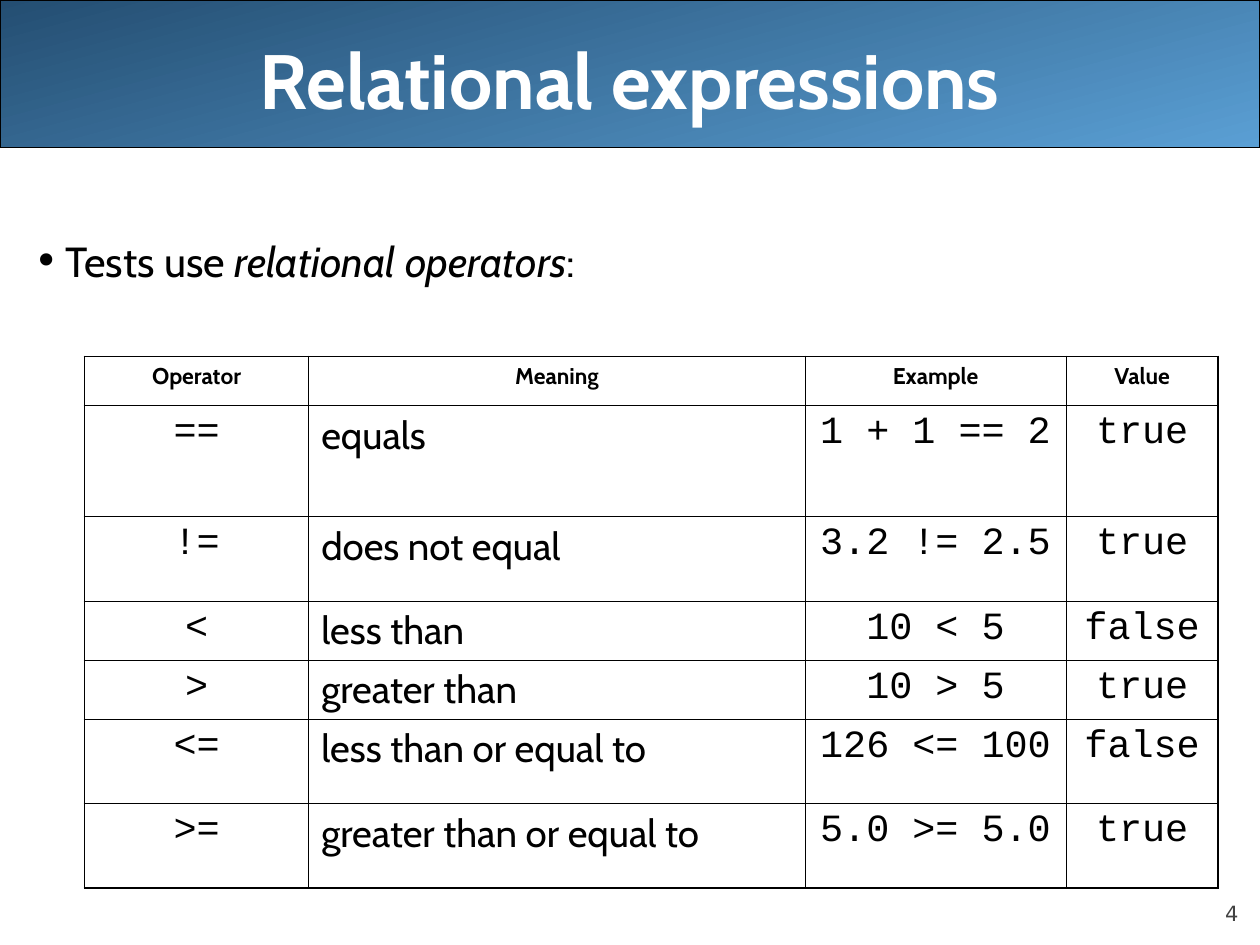
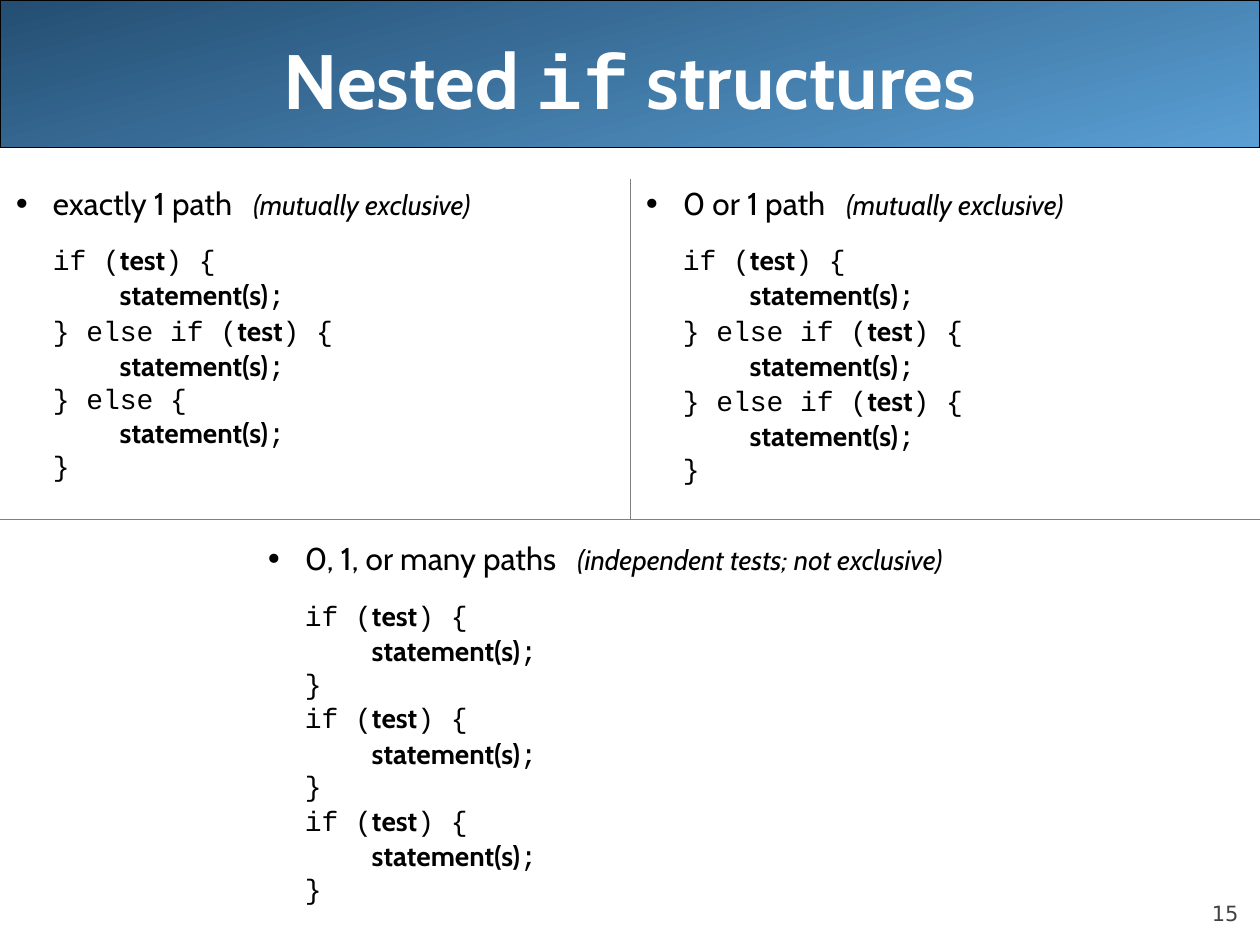
from dataclasses import dataclass

from lxml.etree import SubElement
from pptx import Presentation
from pptx.dml.color import RGBColor
from pptx.enum.shapes import MSO_SHAPE
from pptx.enum.text import MSO_ANCHOR, MSO_AUTO_SIZE, PP_ALIGN
from pptx.oxml.ns import qn
from pptx.util import Inches, Pt


@dataclass(frozen=True)
class Theme:
    sans: str = "Cabin"
    mono: str = "Courier New"
    digit: str = "DejaVu Sans"
    ink: str = "000000"
    paper: str = "FFFFFF"
    dark: str = "244E72"
    light: str = "5A9FD4"
    rule: str = "808080"
    muted: str = "424242"
    title: int = 44
    body: int = 24
    entry: int = 22
    topic: int = 18
    code: int = 16
    head: int = 13
    page: int = 12
    frame: float = 1.08
    grid: float = 0.45
    hair: float = 0.23


THEME = Theme()
TITLE_ONLY = 5

COLUMNS = (1.78, 3.94, 2.07, 1.21)
ROWS = (0.39, 0.88, 0.67, 0.47, 0.47, 0.67, 0.67)
HEADINGS = ("Operator", "Meaning", "Example", "Value")
OPERATORS = (
    ("==", "equals", "1 + 1 == 2", "true"),
    ("!=", "does not equal", "3.2 != 2.5", "true"),
    ("<", "less than", "10 < 5", "false"),
    (">", "greater than", "10 > 5", "true"),
    ("<=", "less than or equal to", "126 <= 100", "false"),
    (">=", "greater than or equal to", "5.0 >= 5.0", "true"),
)

# Bars enclose the parts that the programmer fills in.
BODY = "|statement(s)|;"
IF = ("if (|test|) {", BODY)
ELSE_IF = ("} else if (|test|) {", BODY)
ELSE = ("} else {", BODY)
END = ("}",)


def style(run, size, font=THEME.sans, color=THEME.ink, bold=False, italic=False):
    run.font.size = Pt(size)
    run.font.name = font
    run.font.color.rgb = RGBColor.from_string(color)
    run.font.bold = bold
    run.font.italic = italic


def add_run(para, text, size, **look):
    run = para.add_run()
    run.text = text
    style(run, size, **look)
    return run


def indent(para, left, first=0):
    props = para._p.get_or_add_pPr()
    props.set("marL", str(Inches(left)))
    props.set("indent", str(Inches(first)))
    return props


def add_bullet(para, left, hang):
    props = indent(para, left, -hang)
    color = SubElement(props, qn("a:buClr"))
    SubElement(color, qn("a:srgbClr"), val=THEME.ink)
    SubElement(props, qn("a:buFont"), typeface=THEME.digit)
    SubElement(props, qn("a:buChar"), char="•")


def add_box(slide, left, top, width, height):
    box = slide.shapes.add_textbox(*map(Inches, (left, top, width, height)))
    box.text_frame.word_wrap = True
    return box.text_frame


def add_band(slide):
    band = slide.shapes.add_shape(
        MSO_SHAPE.ROUNDED_RECTANGLE, 0, 0, Inches(10), Inches(1.17))
    band.adjustments[0] = 0
    band.shadow.inherit = False
    band.fill.gradient()
    band.fill.gradient_angle = 285
    stops = zip(band.fill.gradient_stops, (THEME.dark, THEME.light), (0, 1))
    for stop, color, place in stops:
        stop.color.rgb = RGBColor.from_string(color)
        stop.position = place
    band.line.color.rgb = RGBColor.from_string(THEME.ink)
    band.line.width = Pt(0.75)
    slide.shapes._spTree.insert(2, band._element)


def add_page(slide, number):
    frame = add_box(slide, 9, 6.95, 0.83, 0.4)
    frame.margin_left = frame.margin_right = 0
    frame.margin_top = frame.margin_bottom = 0
    frame.vertical_anchor = MSO_ANCHOR.BOTTOM
    para = frame.paragraphs[0]
    para.text = str(number)
    para.alignment = PP_ALIGN.RIGHT
    style(para.runs[0], THEME.page, THEME.digit, THEME.muted)


def add_slide(deck, number, *parts):
    """Start a slide; each title part is a text and its font."""
    slide = deck.slides.add_slide(deck.slide_layouts[TITLE_ONLY])
    add_band(slide)
    add_page(slide, number)
    title = slide.shapes.title
    title.left, title.top = Inches(0.5), 0
    title.width, title.height = Inches(9), Inches(1.25)
    frame = title.text_frame
    frame.auto_size = MSO_AUTO_SIZE.NONE
    frame.vertical_anchor = MSO_ANCHOR.MIDDLE
    para = frame.paragraphs[0]
    para.alignment = PP_ALIGN.CENTER
    for text, font in parts:
        add_run(para, text, THEME.title, font=font, color=THEME.paper, bold=True)
    return slide


def add_grid(slide, left, top, widths, heights):
    shape = slide.shapes.add_table(
        len(heights), len(widths), Inches(left), Inches(top),
        Inches(sum(widths)), Inches(sum(heights)))
    table = shape.table
    table.first_row = table.horz_banding = False
    for column, width in zip(table.columns, widths):
        column.width = Inches(width)
    for row, height in zip(table.rows, heights):
        row.height = Inches(height)
    return table


def set_cell(cell, color, **widths):
    """Clear a cell's fill and rule the sides named L, R, T and B."""
    props = cell._tc.get_or_add_tcPr()
    for side in "LRTB":
        width = widths.get(side, 0)
        line = SubElement(props, qn(f"a:ln{side}"), w=str(Pt(width)))
        if width:
            fill = SubElement(line, qn("a:solidFill"))
            SubElement(fill, qn("a:srgbClr"), val=color)
        else:
            SubElement(line, qn("a:noFill"))
    cell.fill.background()


def fill_table(table, records):
    bottom, right = len(table.rows) - 1, len(table.columns) - 1
    for r, record in enumerate(records):
        for c, text in enumerate(record):
            edges = {"L": c == 0, "R": c == right, "T": r == 0, "B": r == bottom}
            cell = table.cell(r, c)
            set_cell(cell, THEME.ink, **{
                side: THEME.frame if outer else THEME.grid
                for side, outer in edges.items()})
            para = cell.text_frame.paragraphs[0]
            para.text = text
            head, prose = r == 0, c == 1
            para.alignment = PP_ALIGN.LEFT if prose and not head else PP_ALIGN.CENTER
            style(para.runs[0], THEME.head if head else THEME.entry,
                  THEME.sans if head or prose else THEME.mono, bold=head)


def add_code(frame, lines, left):
    for i, line in enumerate(lines):
        para = frame.add_paragraph()
        para.line_spacing = 0.8
        para.space_before = Pt(4 if i else 14)
        indent(para, left + 0.53 * (line == BODY))
        for j, part in enumerate(line.split("|")):
            slot = j % 2 == 1
            if part:
                add_run(para, part, THEME.code, bold=slot,
                        font=THEME.sans if slot else THEME.mono)


def add_case(cell, topic, note, lines, left=0.32):
    para = cell.text_frame.paragraphs[0]
    add_bullet(para, left, 0.32)
    add_run(para, topic, THEME.topic)
    gap = add_run(para, " ", THEME.topic)
    gap.font._element.set("spc", "800")
    add_run(para, note, THEME.code, italic=True)
    add_code(cell.text_frame, lines, left)


def add_relations(deck):
    slide = add_slide(deck, 4, ("Relational expressions", THEME.sans))
    para = add_box(slide, 0.17, 1.82, 9.66, 0.5).paragraphs[0]
    add_bullet(para, 0.25, 0.25)
    add_run(para, "Tests use ", THEME.body)
    add_run(para, "relational operators", THEME.body, italic=True)
    add_run(para, ":", THEME.body)
    table = add_grid(slide, 0.67, 2.83, COLUMNS, ROWS)
    fill_table(table, (HEADINGS, *OPERATORS))


def add_nesting(deck):
    slide = add_slide(deck, 15, ("Nested ", THEME.sans), ("if", THEME.mono),
                      (" structures", THEME.sans))
    table = add_grid(slide, 0, 1.42, (5, 5), (2.7, 3.09))
    one, maybe, many = table.cell(0, 0), table.cell(0, 1), table.cell(1, 0)
    many.merge(table.cell(1, 1))
    set_cell(one, THEME.rule, R=THEME.hair, B=THEME.hair)
    set_cell(maybe, THEME.rule, L=THEME.hair, B=THEME.hair)
    set_cell(many, THEME.rule, T=THEME.hair)
    many.margin_top = Inches(0.17)
    add_case(one, "exactly 1 path", "(mutually exclusive)",
             IF + ELSE_IF + ELSE + END)
    add_case(maybe, "0 or 1 path", "(mutually exclusive)",
             IF + ELSE_IF * 2 + END)
    add_case(many, "0, 1, or many paths", "(independent tests; not exclusive)",
             (IF + END) * 3, left=2.32)


def main():
    deck = Presentation()
    deck.slide_width, deck.slide_height = Inches(10), Inches(7.5)
    add_relations(deck)
    add_nesting(deck)
    deck.save("out.pptx")


if __name__ == "__main__":
    main()
